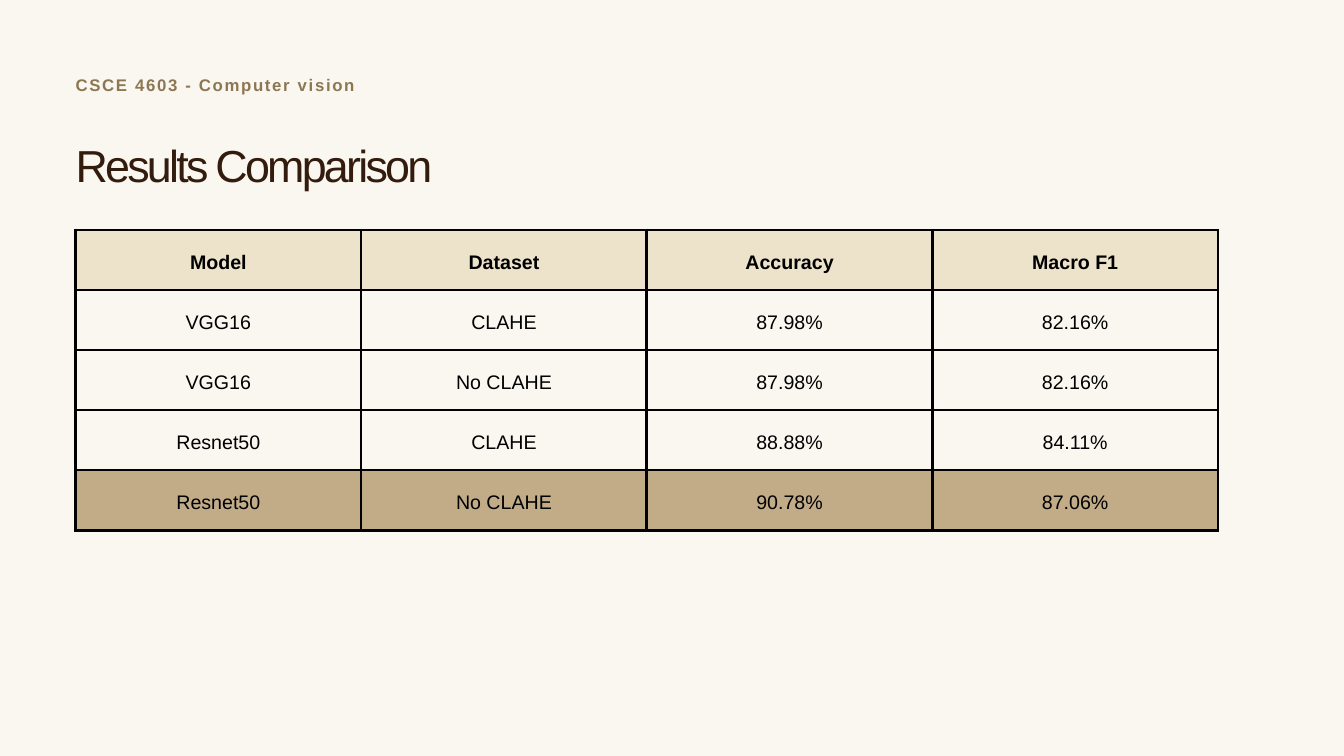
from lxml.etree import SubElement
from pptx import Presentation
from pptx.dml.color import RGBColor
from pptx.enum.text import MSO_ANCHOR, MSO_AUTO_SIZE, PP_ALIGN
from pptx.oxml.ns import qn
from pptx.util import Inches, Pt

INK, PAPER = "000000", "FAF7F0"
HEADER_FILL, BEST_FILL = "EDE2CA", "C2AB87"


def color(target, value):
    """Give a fill a solid colour."""
    target.solid()
    target.fore_color.rgb = RGBColor.from_string(value)


def write(frame, text, size, ink=INK, bold=False, align=PP_ALIGN.LEFT,
          leading=None, tracking=0, inset=0):
    frame.word_wrap = True
    frame.margin_left = frame.margin_right = Inches(inset)
    frame.margin_top = frame.margin_bottom = Inches(inset)
    para = frame.paragraphs[0]
    para.alignment = align
    para.line_spacing = Pt(leading or size)
    span = para.add_run()
    span.text = text
    span.font.name, span.font.size, span.font.bold = "Arial", Pt(size), bold
    color(span.font.fill, ink)
    if tracking:
        span.font._element.set("spc", str(round(tracking * 100)))


deck = Presentation()
deck.slide_width, deck.slide_height = Inches(20), Inches(11.25)
page = deck.slides.add_slide(deck.slide_layouts[6])
color(page.background.fill, PAPER)

# Grid: 100 columns by 100 rows
column, row = deck.slide_width / 100, deck.slide_height / 100
left = round(5.62 * column)

# Results table
results = [
    ("Model", "Dataset", "Accuracy", "Macro F1"),
    ("VGG16", "CLAHE", "87.98%", "82.16%"),
    ("VGG16", "No CLAHE", "87.98%", "82.16%"),
    ("Resnet50", "CLAHE", "88.88%", "84.11%"),
    ("Resnet50", "No CLAHE", "90.78%", "87.06%"),
]
last = len(results) - 1
table = page.shapes.add_table(
    len(results), len(results[0]), left, round(30.42 * row),
    round(85 * column), round(39.73 * row)).table
table.horz_banding = table.first_row = False

for r, record in enumerate(results):
    for c, text in enumerate(record):
        cell = table.cell(r, c)
        cell.vertical_anchor = MSO_ANCHOR.MIDDLE
        write(cell.text_frame, text, 21, bold=r == 0, align=PP_ALIGN.CENTER,
              leading=29.4)
        cell.margin_left = cell.margin_right = Inches(0.21)
        cell.margin_top = cell.margin_bottom = Inches(0.21)

        # Borders come before the fill in the cell properties
        properties = cell._tc.get_or_add_tcPr()
        for side in ("a:lnL", "a:lnR", "a:lnT", "a:lnB"):
            border = SubElement(properties, qn(side), w=str(Pt(3)))
            solid = SubElement(border, qn("a:solidFill"))
            SubElement(solid, qn("a:srgbClr"), val=INK)
        if r in (0, last):
            color(cell.fill, BEST_FILL if r == last else HEADER_FILL)
        else:
            cell.fill.background()

# Title and course label
labels = [
    (19.38, 49, 6.22, "Results Comparison",
     dict(size=48, ink="331B0D", tracking=-2.92)),
    (10.31, 26.65, 2.4, "CSCE 4603 - Computer vision",
     dict(size=18, ink="8C7753", bold=True, tracking=1.78,
          align=PP_ALIGN.JUSTIFY)),
]
for top, width, height, text, style in labels:
    box = page.shapes.add_textbox(left, round(top * row), round(width * column),
                                  round(height * row))
    write(box.text_frame, text, **style)
    box.text_frame.auto_size = MSO_AUTO_SIZE.SHAPE_TO_FIT_TEXT

deck.save("out.pptx")
